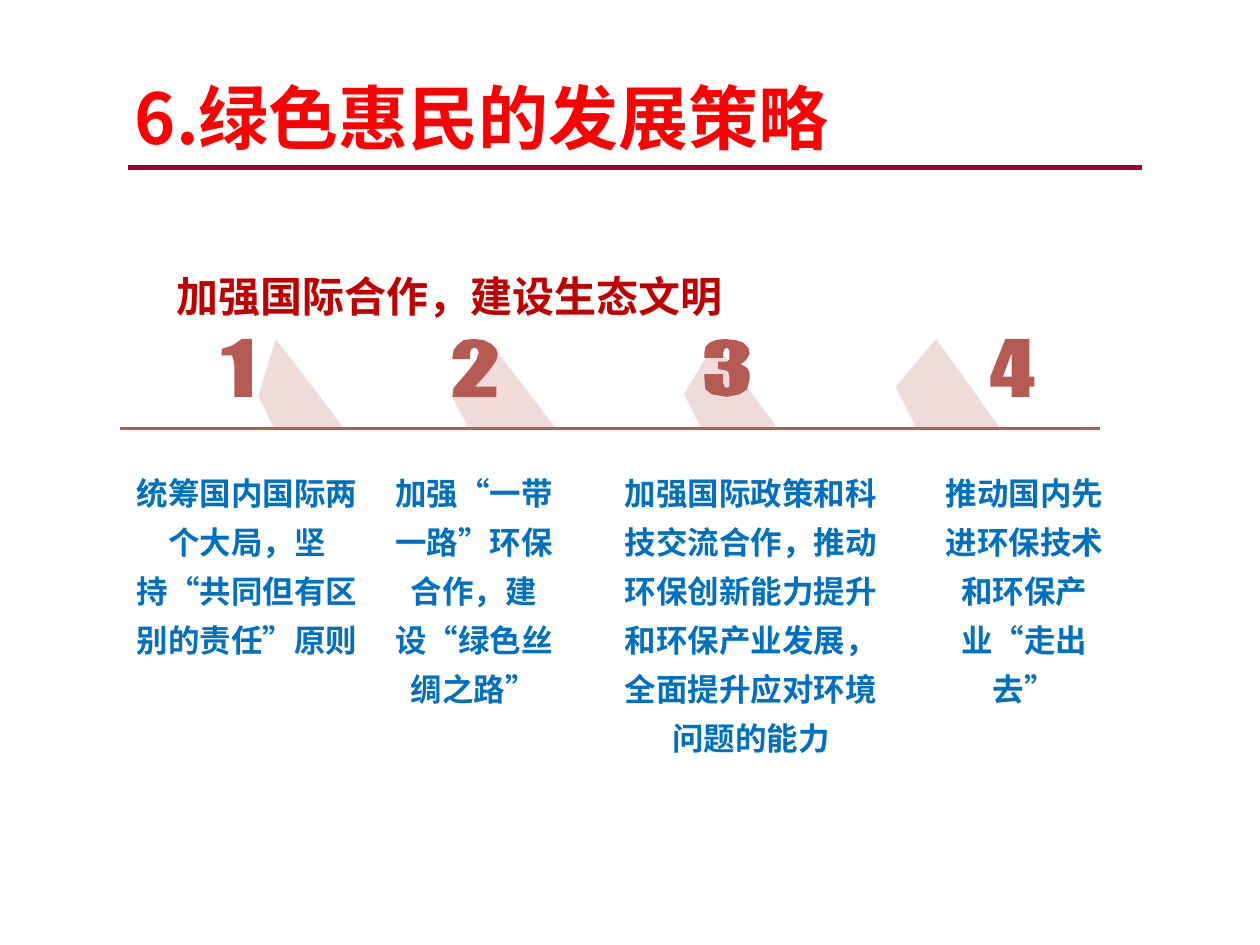
from pptx import Presentation, util as u
from pptx.dml.color import RGBColor
from pptx.enum import shapes, text
from pptx.oxml.ns import qn
from lxml import etree

PX = 9144  # EMU; 100 px to the inch
FONT = "Noto Sans CJK SC"
RED = RGBColor(0xFF, 0x00, 0x00)
DARK = RGBColor(0xC0, 0x00, 0x00)
WINE = RGBColor(0x99, 0x00, 0x33)
BRICK = RGBColor(0xB5, 0x5B, 0x52)
PINK = RGBColor(0xEE, 0xDB, 0xDA)
BLUE = RGBColor(0x00, 0x70, 0xC0)

# Outlines, in px from the top left of each digit
ONE = [[(16, 0), (24, 0), (24, 46), (10, 46), (10, 21), (9, 15), (8, 13),
        (1, 13), (0, 13), (0, 8), (9, 5)]]
TWO = [[(17, 0), (25, 1), (31, 4), (35, 8), (36, 12), (35, 17), (33, 20),
        (27, 28), (18, 38), (35, 38), (35, 46), (0, 46), (1, 39), (13, 25),
        (19, 17), (21, 11), (20, 8), (18, 7), (15, 8), (14, 12), (14, 16),
        (0, 16), (0, 15), (1, 9), (4, 5), (9, 1)]]
THREE = [[(16, 0), (25, 1), (31, 3), (35, 7), (36, 12), (33, 17), (29, 20),
          (34, 23), (36, 27), (36, 32), (34, 40), (28, 44), (18, 46), (6, 44),
          (1, 40), (0, 31), (0, 28), (15, 28), (15, 35), (16, 38), (18, 39),
          (20, 38), (20, 30), (19, 26), (17, 25), (11, 24), (11, 18),
          (18, 18), (20, 16), (20, 9), (18, 7), (16, 8), (15, 11), (15, 15),
          (0, 15), (0, 11), (1, 6), (4, 3), (9, 1)]]
FOUR = [[(12, 0), (31, 0), (31, 30), (35, 30), (35, 38), (31, 38), (31, 46),
         (17, 46), (17, 38), (0, 38), (0, 30)],
        [(17, 11), (10, 30), (17, 30)]]

# Digit left, digit outline, shade outline, text left, text width, text
STEPS = [
    (176, ONE, [(205, 314), (218, 341), (273, 340), (219, 269)], 93, 206,
     "统筹国内国际两个大局，坚持“共同但有区别的责任”原则"),
    (359, TWO, [(359, 315), (372, 340), (441, 340), (390, 273)], 297, 158,
     "加强“一带一路”环保合作，建设“绿色丝绸之路”"),
    (559, THREE,
     [(543, 313), (557, 341), (616, 340), (615, 337), (567, 272)], 486, 220,
     "加强国际政策和科技交流合作，推动环保创新能力提升和环保产业发展，"
     "全面提升应对环境问题的能力"),
    (786, FOUR, [(711, 307), (728, 341), (794, 340), (743, 269)], 734, 158,
     "推动国内先进环保技术和环保产业“走出去”"),
]


def place(shape, x, y, w, h):
    shape.left, shape.top, shape.width, shape.height = (
        n * PX for n in (x, y, w, h))


def write(shape, words, size, color, align=text.PP_ALIGN.LEFT, space=1.0):
    frame = shape.text_frame
    frame.word_wrap = True
    frame.auto_size = text.MSO_AUTO_SIZE.NONE
    para = frame.paragraphs[0]
    para.text = words
    para.alignment, para.line_spacing = align, space
    font = para.font
    font.name, font.size, font.bold = FONT, u.Pt(size), True
    font.color.rgb = color
    east = etree.SubElement(font._element, qn("a:ea"))
    east.set("typeface", FONT)


def label(slide, box, *args, **style):
    shape = slide.shapes.add_textbox(*(n * PX for n in box))
    write(shape, *args, **style)


def rule(slide, x, y, end, color, width):
    line = slide.shapes.add_connector(
        shapes.MSO_CONNECTOR.STRAIGHT, x * PX, y * PX, end * PX, y * PX)
    line.line.color.rgb, line.line.width = color, u.Pt(width)
    etree.SubElement(line._element.spPr, qn("a:effectLst"))


def outline(slide, x, y, loops, color):
    first, *rest = [[(x + a, y + b) for a, b in loop] for loop in loops]
    pen = slide.shapes.build_freeform(*first[0], scale=PX)
    pen.add_line_segments(first[1:])
    for loop in rest:
        pen.move_to(*loop[0])
        pen.add_line_segments(loop[1:])
    shape = pen.convert_to_shape()
    shape.shadow.inherit = False
    shape.fill.solid()
    shape.fill.fore_color.rgb = color
    shape.line.fill.background()


def header(slide, x, y, w, h):
    title = slide.shapes.title
    place(title, x, y, w, h)
    title.text_frame.vertical_anchor = text.MSO_ANCHOR.MIDDLE
    write(title, "6.绿色惠民的发展策略", 40, RED)
    rule(slide, x + 5, y + 79, x + 809, WINE, 3)


def steps(slide, x, y):
    # Shades lie behind all the digits
    for _, _, shade, *_ in STEPS:
        outline(slide, x, y, [[(a - 93, b - 269) for a, b in shade]], PINK)
    for left, digit, _, start, width, words in STEPS:
        outline(slide, x + left - 93, y, digit, BRICK)
        label(slide, (x + start - 93, y + 93, width, 196), words, 18, BLUE,
              align=text.PP_ALIGN.CENTER, space=1.3)
    rule(slide, x + 2, y + 71, x + 780, BRICK, 2)


def main():
    deck = Presentation()
    deck.slide_width, deck.slide_height = 1000 * PX, 750 * PX
    slide = deck.slides.add_slide(deck.slide_layouts[5])
    header(slide, 97, 54, 802, 77)
    label(slide, (130, 190, 770, 71), "加强国际合作，建设生态文明", 24, DARK,
          space=1.5)
    steps(slide, 93, 269)
    deck.save("out.pptx")


if __name__ == "__main__":
    main()
